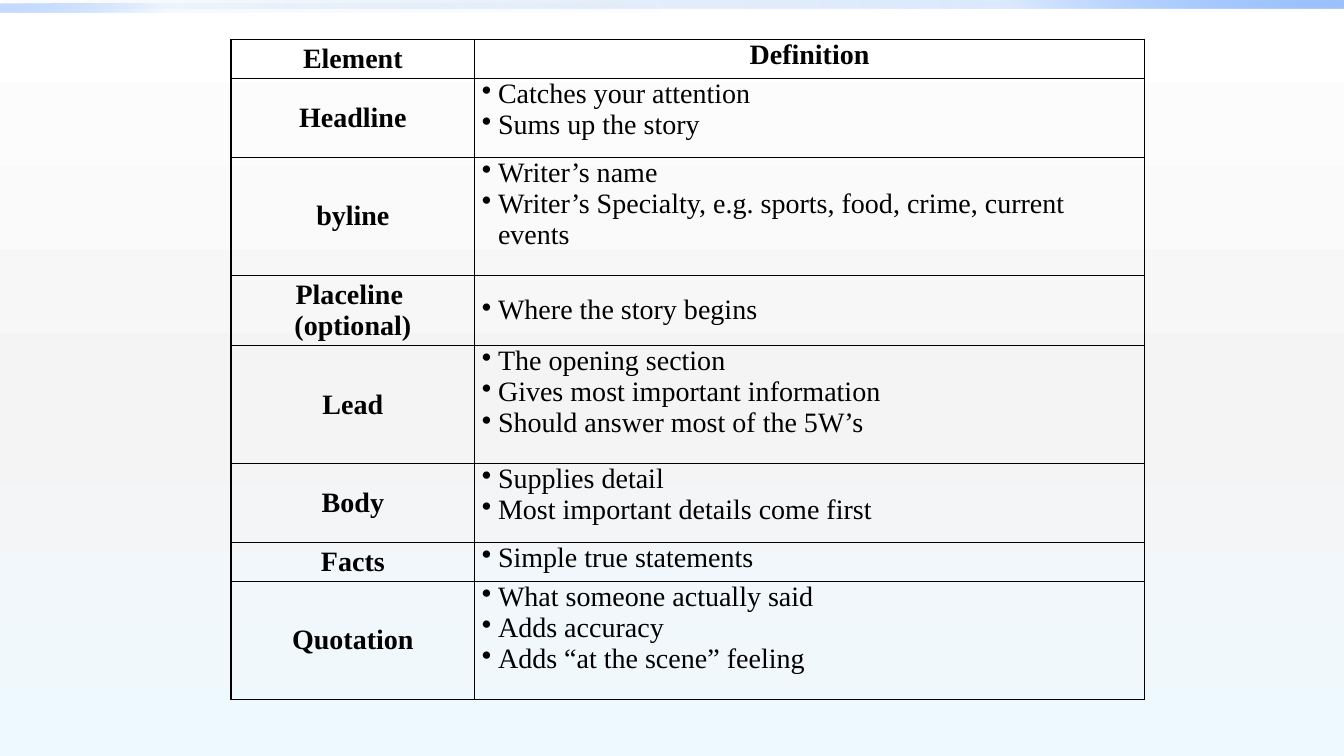
from dataclasses import dataclass

from lxml import etree
from pptx import Presentation
from pptx.dml.color import RGBColor
from pptx.enum.shapes import MSO_SHAPE
from pptx.enum.text import MSO_ANCHOR, PP_ALIGN
from pptx.oxml.ns import qn
from pptx.util import Pt

PX = 9144  # EMU in one px, 100 px to the inch
BLANK_LAYOUT = 6
RECTANGLE = MSO_SHAPE.RECTANGLE
LEFT, CENTER = PP_ALIGN.LEFT, PP_ALIGN.CENTER
TOP, MIDDLE = MSO_ANCHOR.TOP, MSO_ANCHOR.MIDDLE


@dataclass(frozen=True)
class Theme:
    font: str = "Times New Roman"
    size: int = 20
    ink: str = "000000"
    border: float = 1
    inset: int = 7
    hanging: int = 16
    # Gradient stops: position, colour, opacity in percent
    page: tuple = ((0, "FFFFFF", 100), (55, "F4F4F4", 100), (100, "EEF9FF", 100))
    top_band: tuple = ((0, "0058B7", 0), (75, "4F95FF", 20), (100, "9EC2FF", 100))
    left_band: tuple = ((0, "0058B7", 0), (75, "4F95FF", 5), (100, "9EC2FF", 60))


# Element, definition points, anchor of the definition, row height
HEADINGS = ("Element", "Definition")
HEADING_HEIGHT = 39
ROWS = (
    (["Headline"], ["Catches your attention", "Sums up the story"], TOP, 78),
    (["byline"],
     ["Writer’s name",
      "Writer’s Specialty, e.g. sports, food, crime, current\vevents"], TOP, 117),
    (["Placeline ", "(optional)"], ["Where the story begins"], MIDDLE, 70),
    (["Lead"],
     ["The opening section", "Gives most important information",
      "Should answer most of the 5W’s"], TOP, 117),
    (["Body"], ["Supplies detail", "Most important details come first"], TOP, 78),
    (["Facts"], ["Simple true statements"], TOP, 39),
    (["Quotation"],
     ["What someone actually said", "Adds accuracy",
      "Adds “at the scene” feeling"], TOP, 117),
)


def apply(target, values):
    for name, value in values.items():
        setattr(target, name, value)


class SlideBuilder:
    def __init__(self, deck, theme):
        self.theme = theme
        self.slide = deck.slides.add_slide(deck.slide_layouts[BLANK_LAYOUT])

    def gradient(self, fill, owner, stops, angle):
        fill.gradient()
        element = next(owner.iter(qn("a:gradFill")))
        for child in list(element):
            element.remove(child)
        stop_list = etree.SubElement(element, qn("a:gsLst"))
        for position, color, opacity in stops:
            stop = etree.SubElement(stop_list, qn("a:gs"), pos=str(position * 1000))
            tint = etree.SubElement(stop, qn("a:srgbClr"), val=color)
            if opacity < 100:
                etree.SubElement(tint, qn("a:alpha"), val=str(opacity * 1000))
        etree.SubElement(element, qn("a:lin"), ang=str(angle * 60000), scaled="0")

    def background(self, stops, angle):
        self.gradient(self.slide.background.fill, self.slide.element, stops, angle)

    def band(self, left, top, width, height, stops, angle):
        shape = self.slide.shapes.add_shape(
            RECTANGLE, left * PX, top * PX, width * PX, height * PX)
        shape.shadow.inherit = False
        shape.line.fill.background()
        self.gradient(shape.fill, shape.element.spPr, stops, angle)

    def table(self, left, top, widths, heights):
        frame = self.slide.shapes.add_table(
            len(heights), len(widths), left * PX, top * PX,
            sum(widths) * PX, sum(heights) * PX)
        table = frame.table
        apply(table, {"first_row": False, "horz_banding": False})
        for column, width in zip(table.columns, widths):
            column.width = width * PX
        for row, height in zip(table.rows, heights):
            row.height = height * PX
        return table

    def borders(self, cell):
        properties = cell._tc.get_or_add_tcPr()
        for index, side in enumerate(("lnL", "lnR", "lnT", "lnB")):
            line = etree.Element(qn(f"a:{side}"), w=str(Pt(self.theme.border)))
            solid = etree.SubElement(line, qn("a:solidFill"))
            etree.SubElement(solid, qn("a:srgbClr"), val=self.theme.ink)
            properties.insert(index, line)

    def bullet(self, paragraph):
        indent = self.theme.hanging * PX
        properties = paragraph._p.get_or_add_pPr()
        apply_values = {"marL": indent, "indent": -indent}
        for name, value in apply_values.items():
            properties.set(name, str(value))
        etree.SubElement(properties, qn("a:buChar"), char="•")

    def cell(self, cell, lines, anchor, align=CENTER, bold=True, bulleted=False):
        inset = self.theme.inset * PX
        apply(cell, {"margin_left": inset, "margin_right": inset, "margin_top": 0,
                     "margin_bottom": 0, "vertical_anchor": anchor})
        cell.fill.background()
        self.borders(cell)
        box = cell.text_frame
        for index, line in enumerate(lines):
            para = box.add_paragraph() if index else box.paragraphs[0]
            para.text = line
            para.alignment = align
            if bulleted:
                self.bullet(para)
            for span in para.runs:
                apply(span.font, {"name": self.theme.font, "size": Pt(self.theme.size),
                                  "bold": bold})
                span.font.color.rgb = RGBColor.from_string(self.theme.ink)


def main():
    deck = Presentation()
    apply(deck, {"slide_width": 1333 * PX, "slide_height": 750 * PX})
    theme = Theme()
    page = SlideBuilder(deck, theme)

    # Backdrop and the two bands along the top edge
    page.background(theme.page, 90)
    page.band(0, 0, 1333, 8, theme.top_band, 315)
    page.band(0, 4, 667, 8, theme.left_band, 135)

    # Table of news story elements
    heights = [HEADING_HEIGHT] + [row[-1] for row in ROWS]
    table = page.table(229, 39, (242, 664), heights)
    for column, (heading, anchor) in enumerate(zip(HEADINGS, (MIDDLE, TOP))):
        page.cell(table.cell(0, column), [heading], anchor)
    for number, (element, points, anchor, _) in enumerate(ROWS, start=1):
        page.cell(table.cell(number, 0), element, MIDDLE)
        page.cell(table.cell(number, 1), points, anchor, LEFT, False, True)

    deck.save("out.pptx")


if __name__ == "__main__":
    main()
